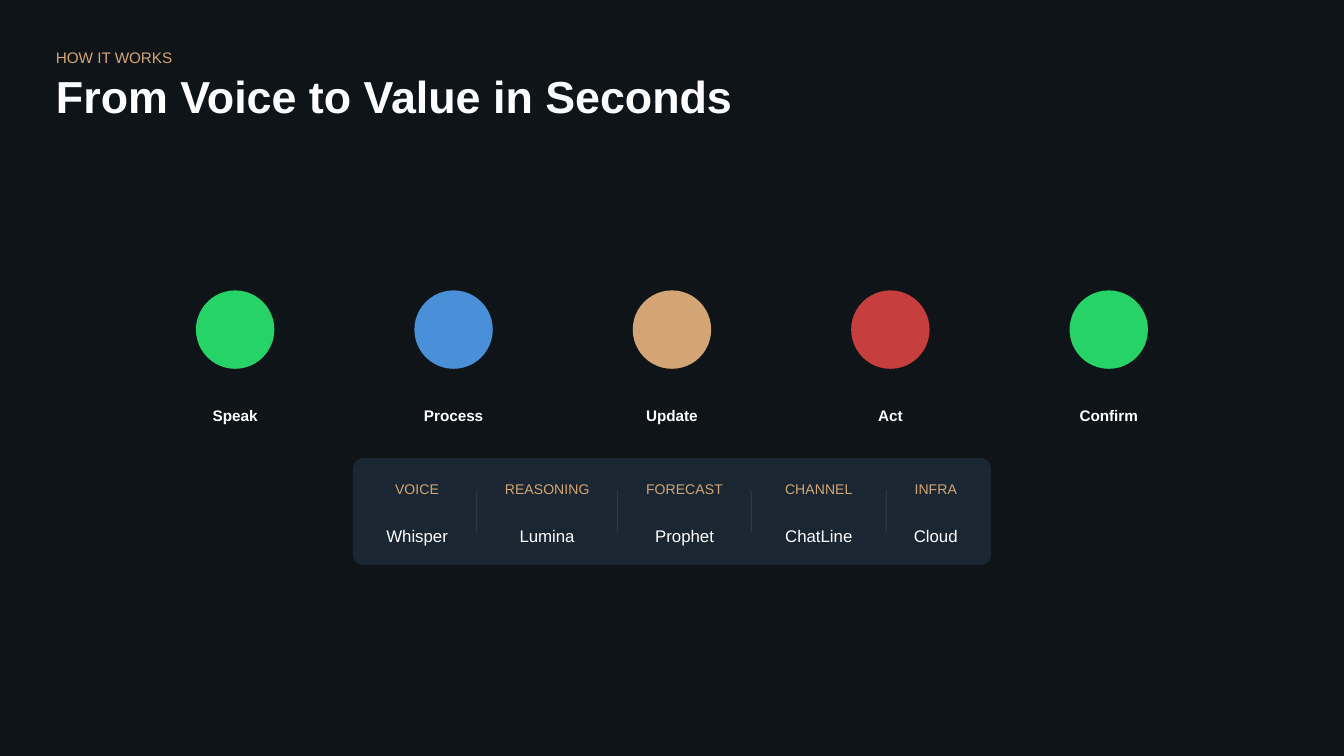
from pptx import Presentation
from pptx.dml.color import RGBColor
from pptx.enum.shapes import MSO_SHAPE
from pptx.enum.text import MSO_ANCHOR, MSO_AUTO_SIZE, PP_ALIGN
from pptx.util import Pt

OVAL = MSO_SHAPE.OVAL
RECTANGLE = MSO_SHAPE.RECTANGLE
ROUNDED = MSO_SHAPE.ROUNDED_RECTANGLE
TOP = MSO_ANCHOR.TOP
NO_AUTOFIT = MSO_AUTO_SIZE.NONE
LEFT = PP_ALIGN.LEFT
CENTER = PP_ALIGN.CENTER

BACKGROUND = RGBColor(0x0F, 0x14, 0x19)
PANEL = RGBColor(0x1A, 0x26, 0x32)
DIVIDER = RGBColor(0x2D, 0x37, 0x48)
WHITE = RGBColor(0xFF, 0xFF, 0xFF)
GOLD = RGBColor(0xD4, 0xA5, 0x74)
GREEN = RGBColor(0x25, 0xD3, 0x66)
BLUE = RGBColor(0x4A, 0x90, 0xD9)
RED = RGBColor(0xC7, 0x3E, 0x3E)

FONT = "Arial"
TITLE_ONLY_LAYOUT = 5

STEPS = [
    ("Speak", 24.5, GREEN),
    ("Process", 32.4, BLUE),
    ("Update", 28.8, GOLD),
    ("Act", 13.7, RED),
    ("Confirm", 32.4, GREEN),
]
FIRST_STEP_CENTER = 126
STEP_PITCH = 117
CIRCLE_SIZE = 42

STACK = [
    ("VOICE", 23.8, "Whisper", 33.7),
    ("REASONING", 45.6, "Lumina", 28.8),
    ("FORECAST", 41.6, "Prophet", 32.4),
    ("CHANNEL", 36.7, "ChatLine", 42.3),
    ("INFRA", 23, "Cloud", 20.9),
]
STACK_LEFT = 206.6
COLUMN_GAP = 30
DIVIDER_WIDTH = 0.75


def place(shape, left, top, width, height):
    shape.left, shape.top = Pt(left), Pt(top)
    shape.width, shape.height = Pt(width), Pt(height)


def write_text(shape, text, size, color, line_height, bold=False, alignment=LEFT):
    frame = shape.text_frame
    frame.margin_left = frame.margin_right = 0
    frame.margin_top = frame.margin_bottom = 0
    frame.vertical_anchor = TOP
    frame.auto_size = NO_AUTOFIT
    frame.word_wrap = False
    paragraph = frame.paragraphs[0]
    paragraph.alignment = alignment
    paragraph.line_spacing = Pt(line_height)
    run = paragraph.add_run()
    run.text = text
    run.font.name = FONT
    run.font.size = Pt(size)
    run.font.bold = bold
    run.font.color.rgb = color


def add_centered_text(slide, text, center, top, width, size, color, line_height, bold=False):
    box = slide.shapes.add_textbox(
        Pt(center - width / 2), Pt(top), Pt(width), Pt(line_height)
    )
    write_text(box, text, size, color, line_height, bold, CENTER)


def add_filled_shape(slide, kind, left, top, width, height, color):
    shape = slide.shapes.add_shape(kind, Pt(left), Pt(top), Pt(width), Pt(height))
    shape.shadow.inherit = False
    shape.fill.solid()
    shape.fill.fore_color.rgb = color
    shape.line.fill.background()
    return shape


def add_heading(slide):
    eyebrow = slide.shapes.add_textbox(Pt(30), Pt(24), Pt(673), Pt(11.6))
    write_text(eyebrow, "HOW IT WORKS", 8.2, GOLD, 11.6)
    title = slide.shapes.title
    place(title, 30, 41.75, 370, 24)
    write_text(title, "From Voice to Value in Seconds", 24, WHITE, 24, bold=True)


def add_steps(slide):
    for index, (name, width, color) in enumerate(STEPS):
        center = FIRST_STEP_CENTER + index * STEP_PITCH
        add_filled_shape(
            slide, OVAL, center - CIRCLE_SIZE / 2, 155.6, CIRCLE_SIZE, CIRCLE_SIZE, color
        )
        add_centered_text(slide, name, center, 216, width, 8.2, WHITE, 11.6, bold=True)


def add_stack_panel(slide):
    panel = add_filled_shape(slide, ROUNDED, 189.1, 245.4, 341.8, 57.4, PANEL)
    panel.adjustments[0] = 0.1
    left = STACK_LEFT
    for index, (layer, layer_width, tool, tool_width) in enumerate(STACK):
        if index > 0:
            divider_left = left - (COLUMN_GAP + DIVIDER_WIDTH) / 2
            add_filled_shape(
                slide, RECTANGLE, divider_left, 262.8, DIVIDER_WIDTH, 22.5, DIVIDER
            )
        column_width = max(layer_width, tool_width)
        center = left + column_width / 2
        add_centered_text(slide, layer, center, 255.8, layer_width, 7.5, GOLD, 10.5)
        add_centered_text(slide, tool, center, 280, tool_width, 9, WHITE, 12.6)
        left += column_width + COLUMN_GAP


def main():
    presentation = Presentation()
    presentation.slide_width = Pt(720)
    presentation.slide_height = Pt(405)
    slide = presentation.slides.add_slide(presentation.slide_layouts[TITLE_ONLY_LAYOUT])
    slide.background.fill.solid()
    slide.background.fill.fore_color.rgb = BACKGROUND
    add_heading(slide)
    add_steps(slide)
    add_stack_panel(slide)
    presentation.save("out.pptx")


if __name__ == "__main__":
    main()
